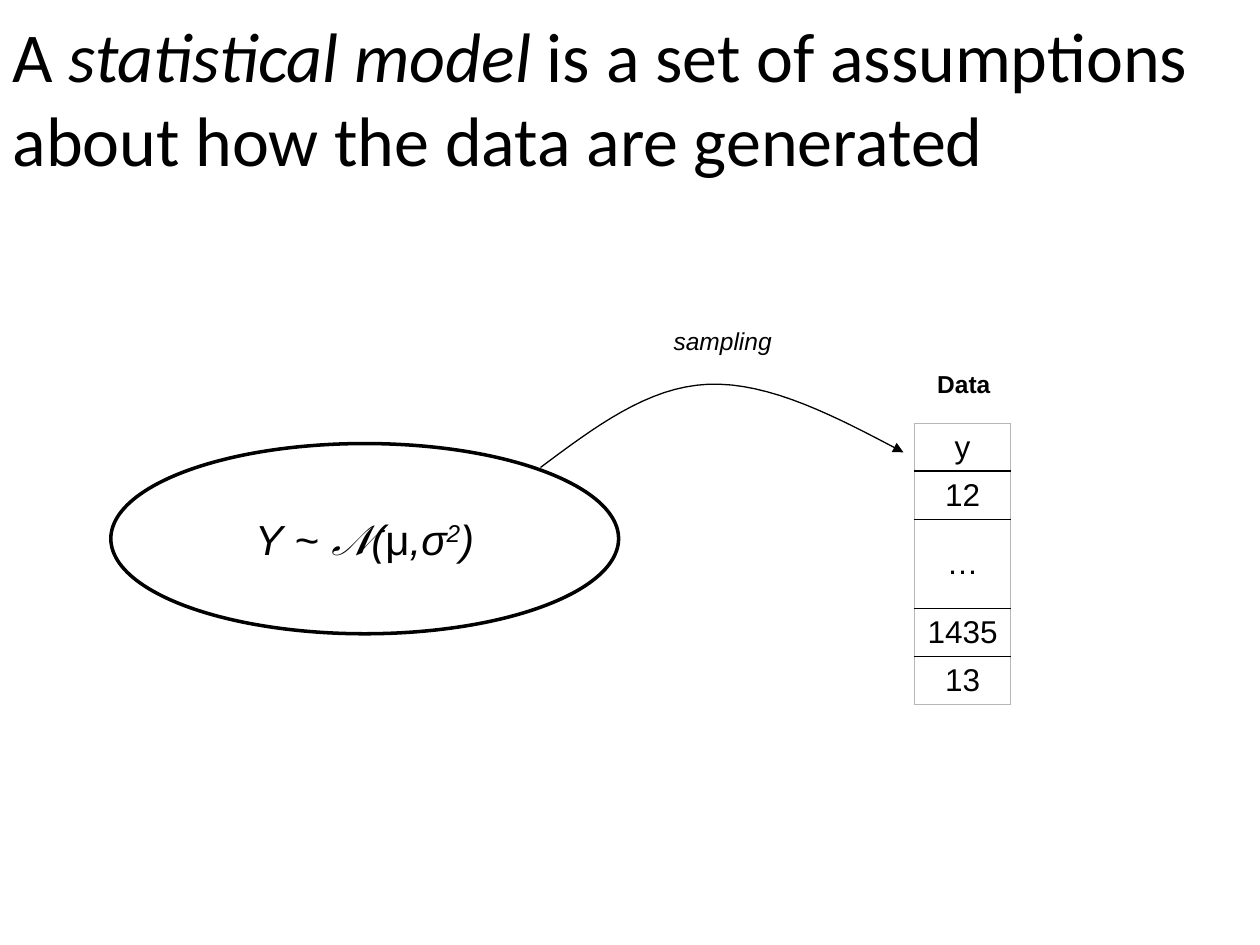
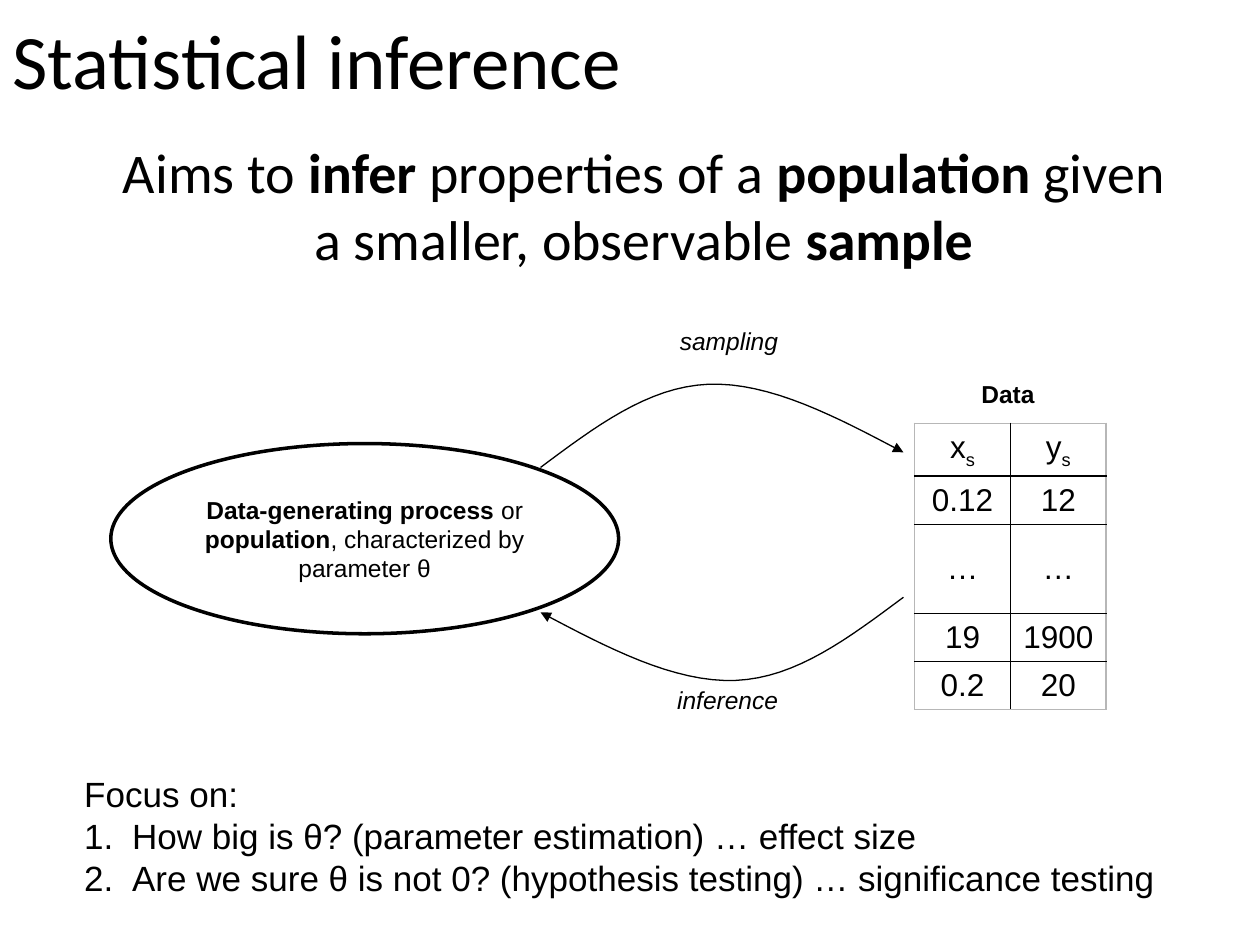
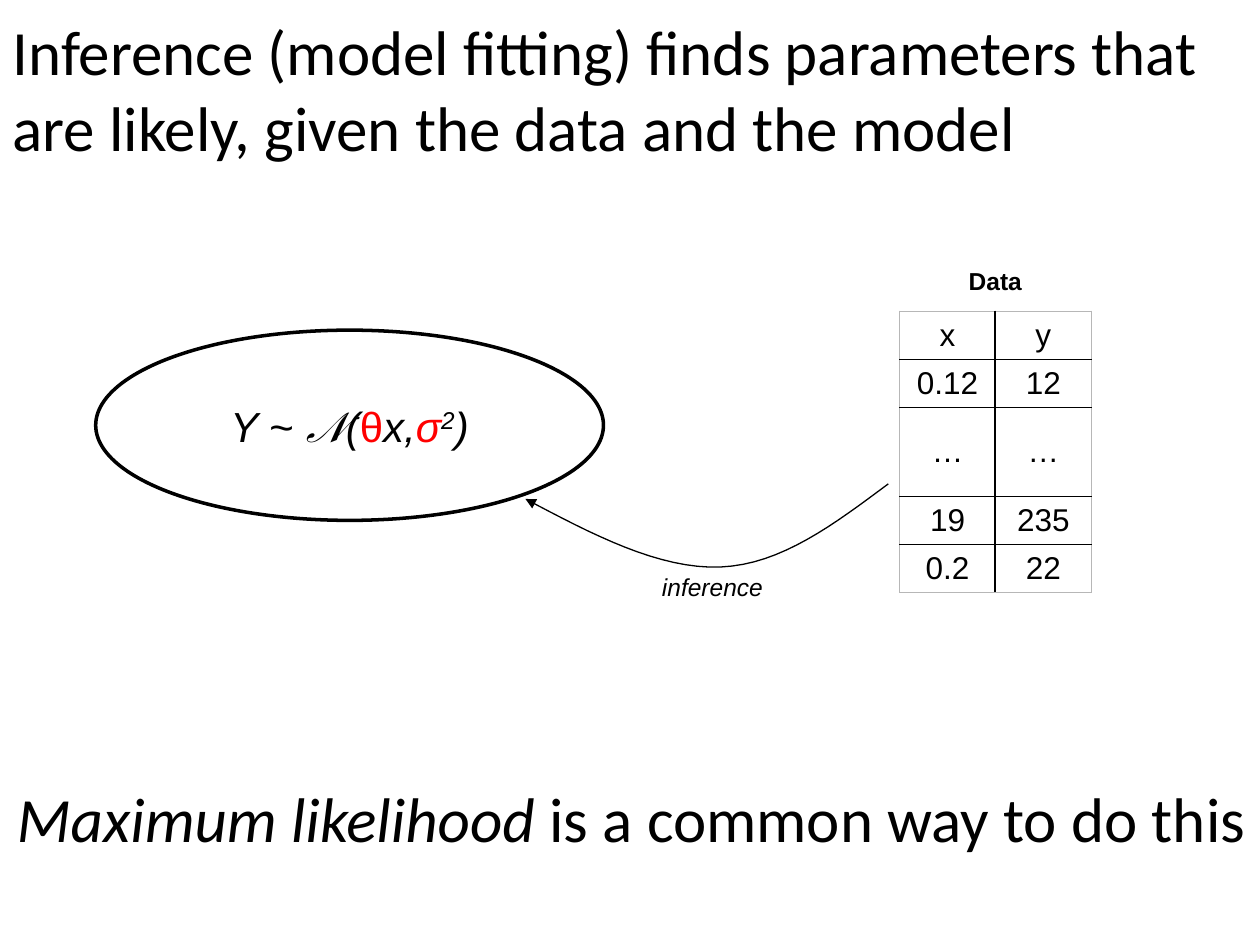
from lxml import etree
from pptx import Presentation
from pptx.dml.color import RGBColor
from pptx.enum.shapes import MSO_SHAPE
from pptx.enum.text import MSO_ANCHOR, MSO_AUTO_SIZE, PP_ALIGN
from pptx.oxml.ns import qn
from pptx.util import Inches, Pt

LEFT, CENTER = PP_ALIGN.LEFT, PP_ALIGN.CENTER
TOP, MIDDLE = MSO_ANCHOR.TOP, MSO_ANCHOR.MIDDLE
NO_AUTOFIT = MSO_AUTO_SIZE.NONE
OVAL = MSO_SHAPE.OVAL

BLACK, WHITE, RED, GRAY = "000000", "FFFFFF", "FF0000", "B7B7B7"
HEADING_FONT, BODY_FONT = "Calibri", "Arial"
TITLE_ONLY, TITLE_AND_BODY = 5, 1
BASELINES = {"^": "30000", "_": "-25000"}
ARC = [(0, 0), (0.43, -0.32), (0.85, -0.64), (1.33, -0.66),
       (1.82, -0.68), (2.35, -0.4), (2.88, -0.12)]
ARC_STEPS = 16
COLUMN_WIDTH = 0.76
ROW_HEIGHTS = [0.25, 0.25, 0.71, 0.25, 0.25]


def color(value):
    return RGBColor.from_string(value)


def bezier(points, t):
    while len(points) > 1:
        points = [(x1 + (x2 - x1) * t, y1 + (y2 - y1) * t)
                  for (x1, y1), (x2, y2) in zip(points, points[1:])]
    return points[0]


def arc_points(left, top, direction):
    offsets = [bezier(ARC[start:start + 4], step / ARC_STEPS)
               for start in (0, 3) for step in range(1, ARC_STEPS + 1)]
    return [(Inches(left + direction * x), Inches(top + direction * y))
            for x, y in [ARC[0]] + offsets]


class Deck:
    def __init__(self):
        self.presentation = Presentation()
        self.presentation.slide_width = Inches(10)
        self.presentation.slide_height = Inches(7.5)
        self.slide = None

    def add_slide(self, layout=TITLE_ONLY):
        layouts = self.presentation.slide_layouts
        self.slide = self.presentation.slides.add_slide(layouts[layout])

    def add_runs(self, paragraph, runs, size, font=BODY_FONT, align=LEFT):
        paragraph.alignment = align
        paragraph.space_before = Pt(0)
        for text, style in runs:
            run = paragraph.add_run()
            run.text = text
            run.font.name = font
            run.font.size = Pt(size)
            run.font.bold = "b" in style
            run.font.italic = "i" in style
            run.font.color.rgb = color(RED if "r" in style else BLACK)
            for mark, offset in BASELINES.items():
                if mark in style:
                    run.font._element.set("baseline", offset)

    def indent(self, paragraph, margin, hanging=0):
        properties = paragraph._p.get_or_add_pPr()
        properties.set("marL", str(Inches(margin)))
        properties.set("indent", str(-Inches(hanging)))
        return properties

    def heading(self, shape, box, runs, size, align=LEFT):
        shape.left, shape.top, shape.width, shape.height = map(Inches, box)
        frame = shape.text_frame
        frame.word_wrap = True
        frame.auto_size = NO_AUTOFIT
        frame.vertical_anchor = TOP
        frame.margin_left = frame.margin_right = Inches(0.1)
        frame.margin_top = frame.margin_bottom = Inches(0.1)
        self.add_runs(frame.paragraphs[0], runs, size, HEADING_FONT, align)

    def title(self, runs, size, height=1.25):
        self.heading(self.slide.shapes.title, (0, 0, 10, height), runs, size)

    def body(self, box, runs, size):
        shape = self.slide.placeholders[1]
        self.heading(shape, box, runs, size, CENTER)
        properties = self.indent(shape.text_frame.paragraphs[0], 0.22)
        etree.SubElement(properties, qn("a:buNone"))

    def caption(self, box, runs, size):
        shape = self.slide.shapes.add_textbox(*map(Inches, box))
        self.heading(shape, box, runs, size, CENTER)

    def label(self, left, top, width, text, style):
        box = self.slide.shapes.add_textbox(
            Inches(left), Inches(top), Inches(width), Inches(0.34))
        box.text_frame.word_wrap = False
        self.add_runs(box.text_frame.paragraphs[0], [(text, style)], 14, align=CENTER)

    def numbered_list(self, box, lead, items, size):
        frame = self.slide.shapes.add_textbox(*map(Inches, box)).text_frame
        frame.word_wrap = True
        self.add_runs(frame.paragraphs[0], [(lead, "")], size)
        for item in items:
            paragraph = frame.add_paragraph()
            self.add_runs(paragraph, [(item, "")], size)
            properties = self.indent(paragraph, 0.38, 0.38)
            etree.SubElement(properties, qn("a:buAutoNum"), type="arabicPeriod")

    def population(self, left, top, runs, size):
        ellipse = self.slide.shapes.add_shape(
            OVAL, Inches(left), Inches(top), Inches(4.03), Inches(1.51))
        ellipse.shadow.inherit = False
        ellipse.fill.solid()
        ellipse.fill.fore_color.rgb = color(WHITE)
        ellipse.line.color.rgb = color(BLACK)
        ellipse.line.width = Pt(2)
        frame = ellipse.text_frame
        frame.word_wrap = True
        frame.vertical_anchor = MIDDLE
        self.add_runs(frame.paragraphs[0], runs, size, align=CENTER)

    def arc_arrow(self, left, top, direction):
        start, *rest = arc_points(left, top, direction)
        builder = self.slide.shapes.build_freeform(*start)
        builder.add_line_segments(rest, close=False)
        arrow = builder.convert_to_shape()
        arrow.shadow.inherit = False
        arrow.fill.background()
        arrow.line.color.rgb = color(BLACK)
        arrow.line.width = Pt(0.75)
        outline = arrow._element.spPr.find(qn("a:ln"))
        etree.SubElement(outline, qn("a:tailEnd"), type="triangle")

    def sampling(self, label_left):
        self.arc_arrow(4.29, 3.71, 1)
        self.label(label_left, 2.54, 0.99, "sampling", "i")

    def inference(self, left, top):
        self.arc_arrow(left, top, -1)
        self.label(left - 2, top + 0.65, 1.21, "inference", "i")

    def borders(self, cell, edges):
        properties = cell._tc.get_or_add_tcPr()
        for position, (side, (line_color, width)) in enumerate(edges.items()):
            line = etree.Element(qn("a:ln" + side), w=str(Pt(width)))
            fill = etree.SubElement(line, qn("a:solidFill"))
            etree.SubElement(fill, qn("a:srgbClr"), val=line_color)
            properties.insert(position, line)

    def data_table(self, left, top, rows, header_rule=1.5, outline=1):
        row_count, column_count = len(rows), len(rows[0])
        table = self.slide.shapes.add_table(
            row_count, column_count, Inches(left), Inches(top),
            Inches(COLUMN_WIDTH * column_count), Inches(sum(ROW_HEIGHTS))).table
        table.first_row = table.horz_banding = False
        for column in table.columns:
            column.width = Inches(COLUMN_WIDTH)
        for row, height in zip(table.rows, ROW_HEIGHTS):
            row.height = Inches(height)
        outer, inner = (GRAY, outline), (BLACK, 1.25)
        rules = [outer, (BLACK, header_rule)] + [(BLACK, 0.75)] * (row_count - 2) + [outer]
        uprights = [outer] + [inner] * (column_count - 1) + [outer]
        for r, values in enumerate(rows):
            for c, value in enumerate(values):
                cell = table.cell(r, c)
                cell.fill.background()
                cell.vertical_anchor = MIDDLE
                cell.margin_left = cell.margin_right = Inches(0.05)
                cell.margin_top = cell.margin_bottom = Inches(0.05)
                runs = [(value, "")] if isinstance(value, str) else value
                self.add_runs(cell.text_frame.paragraphs[0], runs, 18, align=CENTER)
                self.borders(cell, {"L": uprights[c], "R": uprights[c + 1],
                                    "T": rules[r], "B": rules[r + 1]})


def model_slide(deck):
    deck.add_slide()
    deck.title([("A ", ""), ("statistical model ", "i"),
                ("is a set of assumptions about how the data are generated", "")], 40)
    deck.population(0.88, 3.52, [
        ("Y", "i"), (" ~ ", ""), ("𝒩(", "i"), ("μ", ""),
        (",σ", "i"), ("2", "i^"), (")", "i")], 24)
    deck.data_table(7.26, 3.36, [["y"], ["12"], ["…"], ["1435"], ["13"]])
    deck.label(7.3, 2.88, 0.7, "Data", "b")
    deck.sampling(5.24)


def inference_slide(deck):
    deck.add_slide(TITLE_AND_BODY)
    deck.title([("Statistical inference", "")], 44, 0.99)
    deck.body((0.5, 0.99, 9, 1.08), [
        ("Aims to ", ""), ("infer", "b"), (" properties of a ", ""),
        ("population", "b"), (" given a smaller, observable ", ""),
        ("sample", "b")], 32)
    deck.population(0.88, 3.52, [
        ("Data-generating process ", "b"), ("or ", ""), ("population", "b"),
        (", characterized by parameter θ", "")], 14)
    header = [[(name, ""), ("s", "_")] for name in "xy"]
    deck.data_table(7.26, 3.36, [
        header, ["0.12", "12"], ["…", "…"], ["19", "1900"], ["0.2", "20"]])
    deck.numbered_list((0.57, 6.08, 8.82, 1.11), "Focus on:", [
        "How big is θ? (parameter estimation) … effect size",
        "Are we sure θ is not 0? (hypothesis testing) … significance testing"], 20)
    deck.label(7.65, 2.96, 0.7, "Data", "b")
    deck.sampling(5.29)
    deck.inference(7.17, 4.74)


def fitting_slide(deck):
    deck.add_slide()
    deck.title([("Inference (model fitting) finds parameters that are likely, "
                 "given the data and the model", "")], 36)
    deck.population(0.76, 2.62, [
        ("Y ", "i"), ("~ ", ""), ("𝒩(", "i"), ("θ", "r"), ("x,", "i"),
        ("σ", "ir"), ("2", "i^"), (")", "i")], 24)
    deck.data_table(7.14, 2.47, [
        ["x", "y"], ["0.12", "12"], ["…", "…"], ["19", "235"], ["0.2", "22"]],
        header_rule=0.75, outline=0.75)
    deck.label(7.55, 2.06, 0.7, "Data", "b")
    deck.inference(7.05, 3.84)
    deck.caption((0.01, 6.09, 10, 1.25), [
        ("Maximum likelihood", "i"), (" is a common way to do this", "")], 36)


def main():
    deck = Deck()
    model_slide(deck)
    inference_slide(deck)
    fitting_slide(deck)
    deck.presentation.save("out.pptx")


if __name__ == "__main__":
    main()
